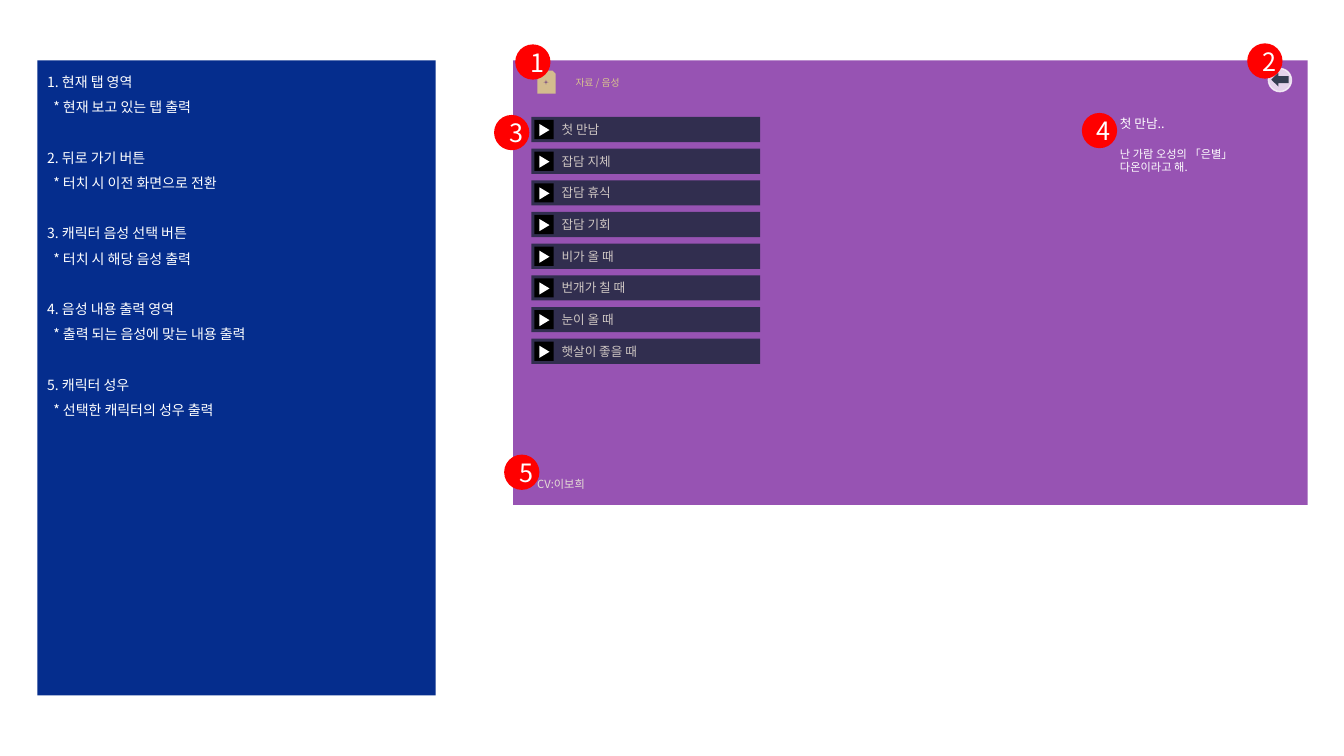
"""Build a slide that explains the voice tab of a game screen."""
from dataclasses import dataclass

from lxml.etree import SubElement
from pptx import Presentation
from pptx.dml.color import RGBColor
from pptx.enum.shapes import MSO_SHAPE as Form
from pptx.enum.text import MSO_ANCHOR, PP_ALIGN
from pptx.oxml.ns import qn
from pptx.util import Inches, Pt


@dataclass(frozen=True)
class Theme:
    """Colours, type sizes and font of the slide."""
    font: str = "Noto Sans CJK KR"
    white: str = "FFFFFF"
    black: str = "000000"
    red: str = "FF0000"
    navy: str = "052D8D"
    purple: str = "9753B3"
    plum: str = "784C80"
    slate: str = "353D51"
    row: str = "312E4F"
    sand: str = "D3BC8E"
    gold: str = "D9C48F"
    label: str = "CEC6C3"
    cream: str = "E7E0D6"
    tiny: int = 7
    small: int = 8
    body: int = 9
    note: int = 10
    badge: int = 18


look = Theme()
deck = Presentation()
deck.slide_width, deck.slide_height = Inches(13.33), Inches(7.5)
slide = deck.slides.add_slide(deck.slide_layouts[6])


def draw(form, left, top, width, height, fill, home=slide):
    """Add a filled preset shape without line or shadow."""
    item = home.shapes.add_shape(
        form, Inches(left), Inches(top), Inches(width), Inches(height))
    item.shadow.inherit = False
    item.fill.solid()
    item.fill.fore_color.rgb = RGBColor.from_string(fill)
    item.line.fill.background()
    return item


def write(item, text, size, color, align=PP_ALIGN.LEFT, anchor=MSO_ANCHOR.TOP,
          inset=0.1, pitch=None, before=0, indent=0, more=False):
    """Write one paragraph into a shape, after the others if more is set."""
    frame = item.text_frame
    frame.word_wrap = True
    frame.vertical_anchor = anchor
    frame.margin_left = Inches(inset)
    para = frame.add_paragraph() if more else frame.paragraphs[0]
    para.alignment = align
    para.space_before = Pt(before)
    if pitch:
        para.line_spacing = Pt(pitch)
    if indent:
        para._p.get_or_add_pPr().set("marL", str(Inches(indent)))
    run = para.add_run()
    run.text = text
    run.font.size = Pt(size)
    run.font.name = look.font
    run.font.color.rgb = RGBColor.from_string(color)
    SubElement(run._r.get_or_add_rPr(), qn("a:ea"), typeface=look.font)


draw(Form.RECTANGLE, 5.09, 0.6, 7.88, 4.41, look.purple)

back = draw(Form.OVAL, 12.58, 0.68, 0.23, 0.23, look.white)
back.line.color.rgb = RGBColor.from_string(look.white)
back.line.width = Pt(1)
for tint in back._element.spPr.iter(qn("a:srgbClr")):
    SubElement(tint, qn("a:alpha"), val="75000")
draw(Form.LEFT_ARROW, 12.61, 0.72, 0.17, 0.14, look.slate)

draw(Form.SNIP_1_RECTANGLE, 5.33, 0.7, 0.18, 0.23, look.sand)
draw(Form.STAR_4_POINT, 5.39, 0.79, 0.05, 0.05, look.plum)
title = slide.shapes.add_textbox(
    Inches(5.61), Inches(0.71), Inches(0.74), Inches(0.22))
write(title, "자료 / 음성", look.tiny, look.gold, pitch=8.2)

voices = ["첫 만남", "잡담 지체", "잡담 휴식", "잡담 기회",
          "비가 올 때", "번개가 칠 때", "눈이 올 때", "햇살이 좋을 때"]
for step, voice in enumerate(voices):
    top = 1.16 + step * 2.2 / 7
    bar = draw(Form.RECTANGLE, 5.27, top, 2.27, 0.25, look.row)
    write(bar, voice, look.body, look.label, inset=0.3, pitch=10.75)
    play = slide.shapes.add_group_shape()
    draw(Form.RECTANGLE, 5.3, top + 0.03, 0.19, 0.19, look.black, play)
    mark = draw(Form.ISOSCELES_TRIANGLE, 5.34, top + 0.08, 0.12, 0.1,
                look.white, play)
    mark.rotation = 90

actor = slide.shapes.add_textbox(
    Inches(5.23), Inches(4.69), Inches(1.03), Inches(0.24))
write(actor, "CV:이보희", look.small, look.cream, pitch=9.3)

speech = slide.shapes.add_textbox(
    Inches(11.01), Inches(1.1), Inches(1.88), Inches(0.84))
speech.text_frame.margin_right = Inches(0.4)
write(speech, "첫 만남..", look.body, look.white, pitch=11)
write(speech, "난 가람 오성의 「은별」 다온이라고 해.", look.small, look.white,
      pitch=9.3, before=11.5, more=True)

panel = draw(Form.RECTANGLE, 0.37, 0.6, 3.95, 6.3, look.navy)
notes = [("현재 탭 영역", "현재 보고 있는 탭 출력"),
         ("뒤로 가기 버튼", "터치 시 이전 화면으로 전환"),
         ("캐릭터 음성 선택 버튼", "터치 시 해당 음성 출력"),
         ("음성 내용 출력 영역", "출력 되는 음성에 맞는 내용 출력"),
         ("캐릭터 성우", "선택한 캐릭터의 성우 출력")]
for count, (head, hint) in enumerate(notes, 1):
    later = count > 1
    write(panel, f"{count}. {head}", look.note, look.white, pitch=18,
          before=18 * later, more=later)
    write(panel, f"* {hint}", look.note, look.white, pitch=18,
          indent=0.06, more=True)

spots = [(5.11, 0.44), (12.37, 0.43), (4.9, 1.14), (10.73, 1.12), (5, 4.51)]
for count, (left, top) in enumerate(spots, 1):
    badge = draw(Form.OVAL, left, top, 0.35, 0.35, look.red)
    write(badge, str(count), look.badge, look.white,
          align=PP_ALIGN.CENTER, anchor=MSO_ANCHOR.MIDDLE)

deck.save("out.pptx")
